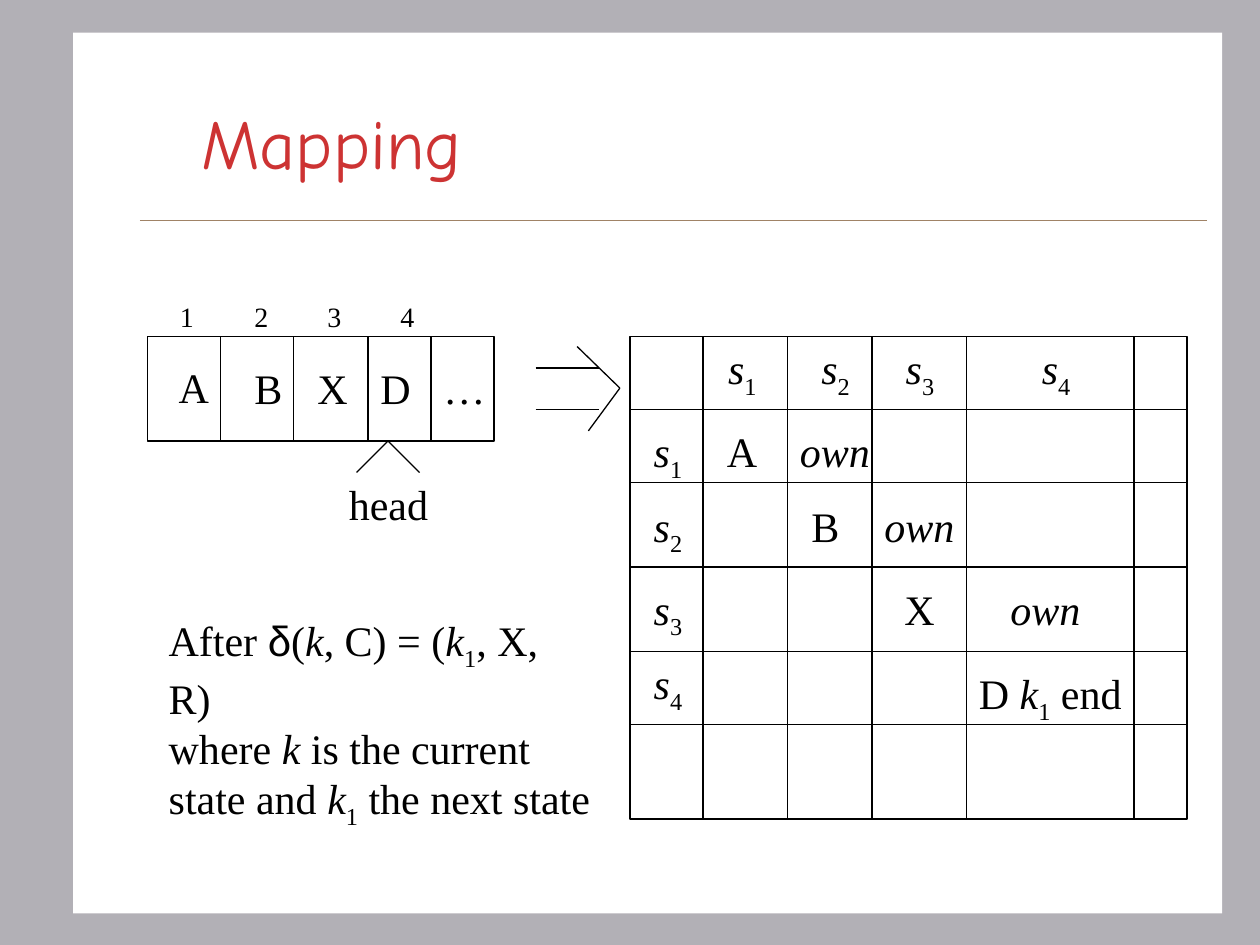
from dataclasses import dataclass

from lxml.etree import SubElement
from pptx import Presentation
from pptx.dml.color import RGBColor
from pptx.enum.shapes import MSO_CONNECTOR as Connector, MSO_SHAPE as Preset
from pptx.enum.text import MSO_ANCHOR as Anchor
from pptx.oxml.ns import qn
from pptx.util import Inches, Pt

COLORS = {"backdrop": "B2B0B6", "paper": "FFFFFF", "rule": "A08366",
          "title": "CD3333", "ink": "000000"}
SERIF = "Times New Roman"


@dataclass(frozen=True)
class Span:
    text: str
    italic: bool = False
    subscript: bool = False
    font: str = SERIF
    new_line: bool = False


@dataclass(frozen=True)
class Label:
    left: float
    top: float
    width: float
    spans: list[Span]
    height: float = 0.5


@dataclass(frozen=True)
class Grid:
    columns: list[float]
    rows: list[float]


def color(name: str) -> RGBColor:
    return RGBColor.from_string(COLORS[name])


def symbol(letter: str, index: int) -> list[Span]:
    return [Span(letter, italic=True), Span(str(index), subscript=True)]


def draw_rectangle(page, left: float, top: float, width: float, height: float,
                   fill: str | None = None, line: str | None = None) -> None:
    box = page.shapes.add_shape(Preset.RECTANGLE, Inches(left), Inches(top),
                                Inches(width), Inches(height))
    box.shadow.inherit = False
    if fill:
        box.fill.solid()
        box.fill.fore_color.rgb = color(fill)
    else:
        box.fill.background()
    if line:
        box.line.color.rgb = color(line)
        box.line.width = Pt(0.75)
    else:
        box.line.fill.background()


def draw_line(page, x1: float, y1: float, x2: float, y2: float,
              ink: str = "ink", weight: float = 0.75) -> None:
    line = page.shapes.add_connector(Connector.STRAIGHT, Inches(x1), Inches(y1),
                                     Inches(x2), Inches(y2))
    line.line.color.rgb = color(ink)
    line.line.width = Pt(weight)
    SubElement(line._element.spPr, qn("a:effectLst"))


def draw_grid(page, grid: Grid) -> None:
    left, *inner_columns, right = grid.columns
    top, *inner_rows, bottom = grid.rows
    draw_rectangle(page, left, top, right - left, bottom - top, line="ink")
    for x in inner_columns:
        draw_line(page, x, top, x, bottom)
    for y in inner_rows:
        draw_line(page, left, y, right, y)


def draw_text(page, left: float, top: float, width: float, height: float,
              paragraphs: list[list[Span]], size: float = 24, ink: str = "ink",
              wrap: bool = False, anchor: Anchor = Anchor.TOP) -> None:
    box = page.shapes.add_textbox(Inches(left), Inches(top), Inches(width), Inches(height))
    frame = box.text_frame
    frame.word_wrap = wrap
    frame.vertical_anchor = anchor
    for number, spans in enumerate(paragraphs):
        para = frame.add_paragraph() if number else frame.paragraphs[0]
        for span in spans:
            if span.new_line:
                para.add_line_break()
            run = para.add_run()
            run.text = span.text
            run.font.name = span.font
            run.font.size = Pt(size)
            run.font.italic = span.italic
            run.font.color.rgb = color(ink)
            if span.subscript:
                run.font._element.set("baseline", "-25000")


def draw_labels(page, labels: list[Label]) -> None:
    for label in labels:
        draw_text(page, label.left, label.top, label.width, label.height, [label.spans])


def draw_tape(page) -> None:
    draw_grid(page, Grid([1.17, 1.75, 2.33, 2.92, 3.42, 3.92], [2.67, 3.5]))
    draw_labels(page, [
        Label(1.32, 2.82, 0.44, [Span("A")]),
        Label(1.92, 2.83, 0.42, [Span("B")]),
        Label(2.42, 2.83, 0.44, [Span("X")]),
        Label(2.92, 2.83, 0.44, [Span("D")]),
        Label(3.42, 2.83, 0.53, [Span("…")]),
        Label(2.67, 3.75, 0.83, [Span("head")]),
    ])
    for index, left in enumerate([1.33, 1.92, 2.5, 3.08], start=1):
        draw_text(page, left, 2.33, 0.2, 0.37, [[Span(str(index))]], size=16, wrap=True)
    for x in (2.83, 3.33):
        draw_line(page, 3.08, 3.5, x, 3.75)


def draw_arrow(page) -> None:
    for y in (2.92, 3.25):
        draw_line(page, 4.25, y, 4.75, y)
    for x, y in ((4.58, 2.75), (4.67, 3.42)):
        draw_line(page, 4.92, 3.08, x, y)


def draw_matrix(page) -> None:
    draw_grid(page, Grid([5, 5.58, 6.25, 6.92, 7.67, 9, 9.42],
                         [2.67, 3.25, 3.83, 4.5, 5.17, 5.75, 6.5]))
    headings = zip([5.68, 6.42, 7.09, 8.17], [3.33, 3.92, 4.58, 5.17])
    for index, (left, top) in enumerate(headings, start=1):
        draw_labels(page, [Label(left, 2.67, 0.43, symbol("s", index), 0.56),
                           Label(5.09, top, 0.43, symbol("s", index), 0.56)])
    draw_labels(page, [
        Label(5.67, 3.33, 0.44, [Span("A")]),
        Label(6.34, 3.92, 0.42, [Span("B")]),
        Label(7.08, 4.58, 0.5, [Span("X")]),
        Label(7.67, 5.25, 1.5, [Span("D "), *symbol("k", 1), Span(" end")], 0.56),
    ])
    draw_labels(page, [Label(left, top, 0.8, [Span("own", italic=True)])
                       for left, top in ((6.25, 3.33), (6.92, 3.92), (7.92, 4.58))])


def draw_rule_text(page) -> None:
    state = Span("k", italic=True)
    next_state = symbol("k", 1)
    draw_text(page, 1.24, 4.83, 3.65, 1.41, [
        [Span("After "), Span("δ", font="Arial"), Span("("), state, Span(", C) = ("),
         *next_state, Span(", X, "), Span("R)", new_line=True)],
        [Span("where "), state, Span(" is the current")],
        [Span("state and "), *next_state, Span(" the next state")],
    ], wrap=True)


def main() -> None:
    deck = Presentation()
    deck.slide_width, deck.slide_height = Inches(10), Inches(7.5)
    page = deck.slides.add_slide(deck.slide_layouts[6])
    page.background.fill.solid()
    page.background.fill.fore_color.rgb = color("backdrop")
    draw_rectangle(page, 0.58, 0.26, 9.12, 6.99, fill="paper")
    draw_line(page, 1.11, 1.75, 9.58, 1.75, ink="rule", weight=0.25)
    draw_text(page, 1.5, 0.5, 8.5, 1.25, [[Span("Mapping", font="Comic Neue")]],
              size=40, ink="title", wrap=True, anchor=Anchor.MIDDLE)
    draw_tape(page)
    draw_matrix(page)
    draw_arrow(page)
    draw_rule_text(page)
    deck.save("out.pptx")


if __name__ == "__main__":
    main()
